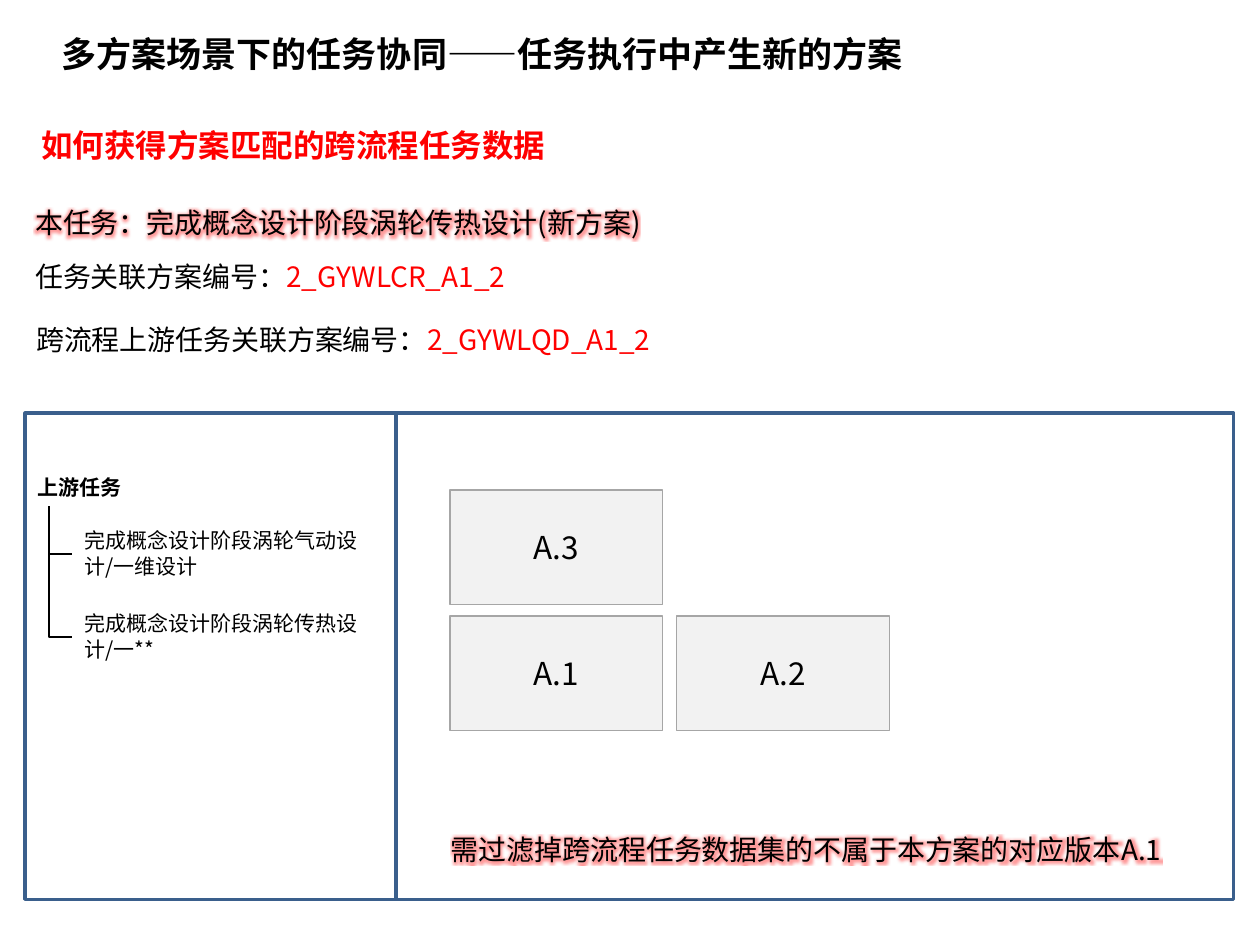
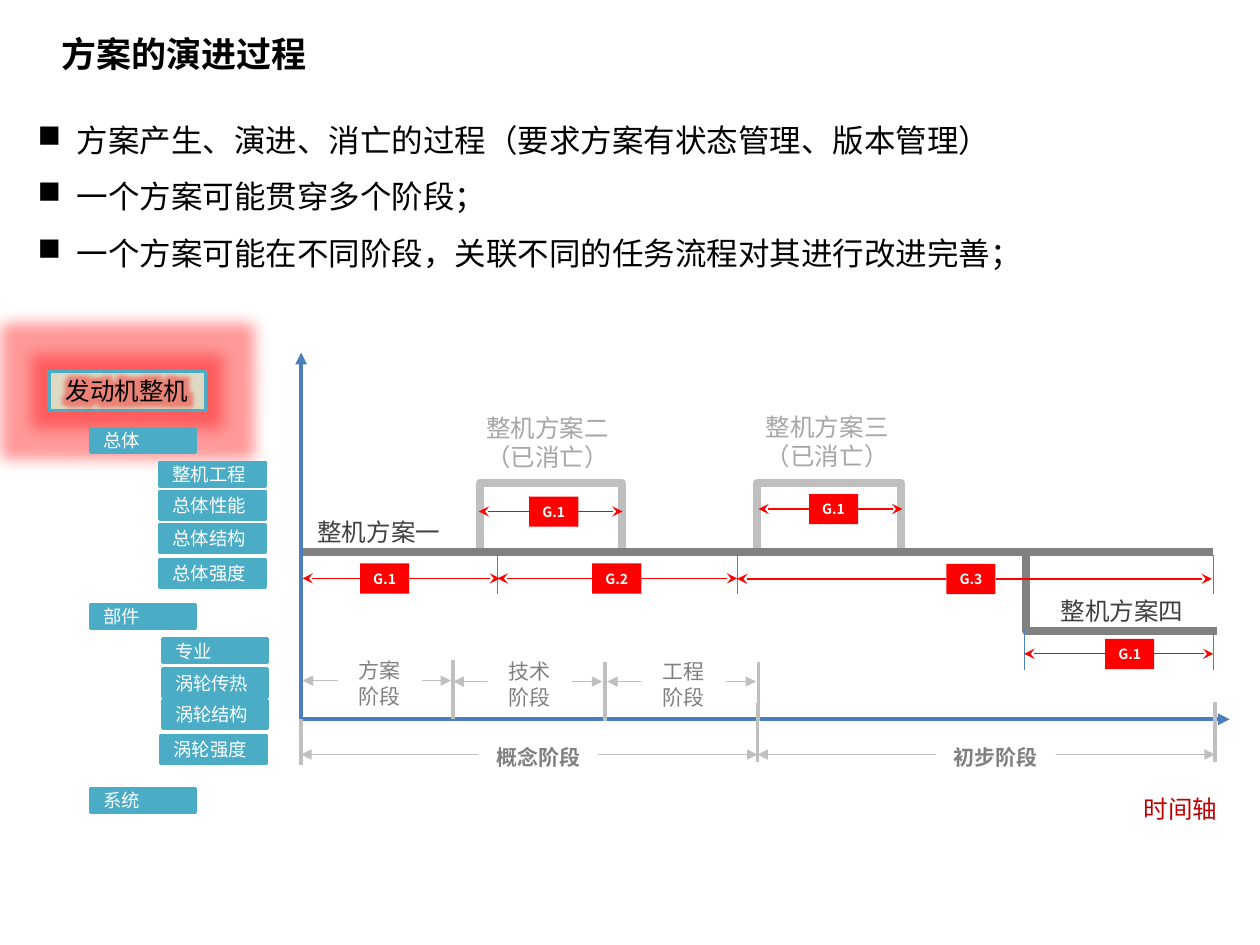
"""Build two slides on plan versions: cross-process task data and plan evolution."""
from dataclasses import dataclass

from pptx import Presentation
from pptx.dml.color import RGBColor
from pptx.enum.shapes import MSO_CONNECTOR, MSO_SHAPE
from pptx.enum.text import MSO_ANCHOR, MSO_AUTO_SIZE, PP_ALIGN
from pptx.oxml.ns import qn
from pptx.oxml.xmlchemy import OxmlElement
from pptx.util import Cm, Pt

RECTANGLE = MSO_SHAPE.RECTANGLE
STRAIGHT, ELBOW = MSO_CONNECTOR.STRAIGHT, MSO_CONNECTOR.ELBOW
LEFT, CENTER = PP_ALIGN.LEFT, PP_ALIGN.CENTER
TOP, MIDDLE = MSO_ANCHOR.TOP, MSO_ANCHOR.MIDDLE
FIT_SHAPE = MSO_AUTO_SIZE.SHAPE_TO_FIT_TEXT


@dataclass(frozen=True)
class Theme:
    font: str = "Noto Sans CJK SC"
    black: str = "000000"
    white: str = "FFFFFF"
    red: str = "FF0000"
    dark_red: str = "C00000"
    panel_line: str = "3A5F8C"
    axis: str = "4B7EBC"
    tick: str = "4F81BD"
    teal: str = "4BACC6"
    sand: str = "DDD9C3"
    tile: str = "F2F2F2"
    ink: str = "404040"
    plan: str = "808080"
    faded: str = "A6A6A6"
    pale: str = "BFBFBF"
    title: float = 20
    large: float = 18
    body: float = 16
    label: float = 14
    small: float = 12
    component: float = 10.5
    tag: float = 8
    thin: float = 0.75
    edge: float = 2
    medium: float = 2.25
    thick: float = 4.5


THEME = Theme()

TITLES = ("多方案场景下的任务协同——任务执行中产生新的方案", "方案的演进过程")
TITLE_AREA = (0.99, 0.53, 21.92, 1.12)

QUESTION = "如何获得方案匹配的跨流程任务数据"
GLOWING_NOTES = [
    ("本任务：完成概念设计阶段涡轮传热设计(新方案)", (0.46, 3.68, 14.25, 1.17)),
    ("需过滤掉跨流程任务数据集的不属于本方案的对应版本A.1", (8.84, 16.33, 15.27, 1.27)),
]
PLAN_NUMBERS = [
    ("任务关联方案编号：", "2_GYWLCR_A1_2", 0.46, 5.11),
    ("跨流程上游任务关联方案编号：", "2_GYWLQD_A1_2", 0.48, 6.38),
]
PANELS = [(0.51, 8.33, 7.59, 9.8), (7.98, 8.33, 16.89, 9.8)]
UPSTREAM_HEADING = "上游任务"
UPSTREAM_TASKS = ["完成概念设计阶段涡轮气动设计/一维设计", "完成概念设计阶段涡轮传热设计/一**"]
VERSION_TILES = [("A.3", 0, 0), ("A.1", 0, 1), ("A.2", 1, 1)]

POINTS = [
    "方案产生、演进、消亡的过程（要求方案有状态管理、版本管理）",
    "一个方案可能贯穿多个阶段；",
    "一个方案可能在不同阶段，关联不同的任务流程对其进行改进完善；",
]
ENGINE = "发动机整机"
COMPONENTS = [
    ("总体", 1.83, 8.64, 0.48),
    ("整机工程", 3.23, 9.32, 0.48),
    ("总体性能", 3.23, 9.91, 0.56),
    ("总体结构", 3.23, 10.57, 0.56),
    ("总体强度", 3.23, 11.28, 0.56),
    ("部件", 1.83, 12.19, 0.48),
    ("专业", 3.28, 12.88, 0.48),
    ("涡轮传热", 3.28, 13.49, 0.56),
    ("涡轮结构", 3.28, 14.12, 0.56),
    ("涡轮强度", 3.25, 14.83, 0.56),
    ("系统", 1.83, 15.9, 0.48),
]
ORIGIN_X, AXIS_Y, PLAN_Y, DEAD_Y, END_X = 6.07, 14.5, 11.13, 9.73, 24.46
DEAD_PLANS = [(8.08, 11.28, 11.07, 14.0), (13.67, 16.87, 16.71, 19.63)]
PLAN_LABELS = [
    (["整机方案一"], 6.15, 10.29, 3.0, THEME.ink),
    (["整机方案二", "（已消亡）"], 9.55, 8.2, 3.0, THEME.faded),
    (["整机方案三", "（已消亡）"], 15.19, 8.18, 3.0, THEME.faded),
    (["整机方案四"], 21.13, 11.89, 3.0, THEME.ink),
    (["时间轴"], 22.81, 15.88, 2.01, THEME.dark_red),
]
TICKS = [(10.03, 11.18), (14.86, 11.18), (END_X, 11.18), (20.65, 12.7), (END_X, 12.7)]
VERSION_SPANS = [
    ("G.1", 6.1, 7.26, 10.08, 11.66),
    ("G.2", 10.03, 11.94, 14.86, 11.66),
    ("G.3", 14.86, 19.08, 24.43, 11.67),
    ("G.1", 9.65, 10.67, 12.55, 10.31),
    ("G.1", 15.29, 16.31, 18.19, 10.26),
    ("G.1", 20.65, 22.28, END_X, 13.18),
]
DIVIDERS = [
    (15.27, 14.17, 15.37), (6.07, 14.5, 15.42), (9.14, 13.31, 14.5),
    (12.19, 13.34, 14.53), (15.29, 13.34, 14.53), (24.49, 14.15, 15.37),
]
STEPS = [
    ("方案阶段", 6.1, 9.09, 13.72, 6.81),
    ("技术阶段", 9.14, 12.14, 13.74, 9.83),
    ("工程阶段", 12.24, 15.24, 13.74, 12.93),
]
STAGES = [("概念阶段", 6.07, 15.27, 15.21, 9.65), ("初步阶段", 15.27, 24.49, 15.21, 18.87)]


def color(code):
    return RGBColor.from_string(code)


def add_element(parent, tag, **attributes):
    element = OxmlElement(tag)
    for name, value in attributes.items():
        element.set(name, str(value))
    parent.append(element)
    return element


def add_glow(properties, radius):
    glow = add_element(add_element(properties, "a:effectLst"), "a:glow", rad=Pt(radius))
    add_element(add_element(glow, "a:srgbClr", val=THEME.red), "a:alpha", val=40000)


def style(paragraph, size, ink=THEME.black, bold=False, align=LEFT, spacing=None):
    paragraph.alignment = align
    if spacing:
        paragraph.line_spacing = spacing
    font = paragraph.font
    font.size, font.bold, font.name = Pt(size), bold, THEME.font
    font.color.rgb = color(ink)
    add_element(paragraph._p.pPr.find(qn("a:defRPr")), "a:ea", typeface=THEME.font)


def write(frame, lines, bullet=None, **look):
    for index, line in enumerate(lines):
        paragraph = frame.add_paragraph() if index else frame.paragraphs[0]
        paragraph.add_run().text = line
        if bullet:
            properties = paragraph._p.get_or_add_pPr()
            properties.set("marL", str(Cm(0.79)))
            properties.set("indent", str(-Cm(0.79)))
            add_element(properties, "a:buChar", char=bullet)
        style(paragraph, **look)


def add_text(page, area, lines, wrap=True, **look):
    box = page.shapes.add_textbox(*map(Cm, area))
    box.text_frame.word_wrap = wrap
    box.text_frame.auto_size = FIT_SHAPE
    write(box.text_frame, lines, **look)
    return box


def add_box(page, area, fill, line=None, width=THEME.edge, text=None,
            anchor=MIDDLE, wrap=True, **look):
    box = page.shapes.add_shape(RECTANGLE, *map(Cm, area))
    box.shadow.inherit = False
    box.fill.solid()
    box.fill.fore_color.rgb = color(fill)
    if line:
        box.line.color.rgb = color(line)
        box.line.width = Pt(width)
    else:
        box.line.fill.background()
    if text:
        box.text_frame.word_wrap = wrap
        box.text_frame.vertical_anchor = anchor
        write(box.text_frame, [text], **look)
    return box


def add_line(page, start, end, ink, width, kind=STRAIGHT, head=None, tail=None):
    line = page.shapes.add_connector(kind, *map(Cm, (*start, *end)))
    line.line.color.rgb = color(ink)
    line.line.width = Pt(width)
    outline = line.line._get_or_add_ln()
    for tag, arrow in (("a:headEnd", head), ("a:tailEnd", tail)):
        if arrow:
            add_element(outline, tag, type=arrow)
    add_element(line._element.spPr, "a:effectLst")
    return line


def add_branch(page, x, top, right, bottom):
    """Draw a line that runs down from (x, top), then right to (right, bottom)."""
    middle_x, middle_y = (x + right) / 2, (top + bottom) / 2
    half_drop, half_run = (bottom - top) / 2, (right - x) / 2
    line = add_line(page, (middle_x - half_drop, middle_y - half_run),
                    (middle_x + half_drop, middle_y + half_run), THEME.black, THEME.thin, ELBOW)
    properties = line._element.spPr
    properties.find(qn("a:prstGeom")).set("prst", "bentConnector2")
    frame = properties.find(qn("a:xfrm"))
    frame.set("rot", "16200000")
    frame.set("flipH", "1")


def add_page(deck, title):
    page = deck.slides.add_slide(deck.slide_layouts[6])
    add_text(page, TITLE_AREA, [title], size=THEME.title, bold=True)
    return page


def build_matching(page):
    for area in PANELS:
        add_box(page, area, THEME.white, THEME.panel_line)
    add_text(page, (0.58, 2.41, 14.81, 1.02), [QUESTION], size=THEME.large, ink=THEME.red, bold=True)
    for text, area in GLOWING_NOTES:
        box = add_text(page, area, [text], size=THEME.body, spacing=1.5)
        add_glow(box.text_frame.paragraphs[0].runs[0]._r.get_or_add_rPr(), 5)
    for text, number, left, top in PLAN_NUMBERS:
        box = add_text(page, (left, top, 17.04, 0.94), [text], size=THEME.body)
        span = box.text_frame.paragraphs[0].add_run()
        span.text = number
        span.font.color.rgb = color(THEME.red)
    add_text(page, (0.51, 9.45, 6.6, 0.76), [UPSTREAM_HEADING], size=THEME.small, bold=True)
    for index, task in enumerate(UPSTREAM_TASKS):
        top = 10.52 + 1.67 * index
        add_text(page, (1.45, top, 6.6, 1.27), [task], size=THEME.small)
        add_branch(page, 0.99, 10.21, 1.45, top + 0.65)
    for name, column, row in VERSION_TILES:
        area = (9.07 + 4.57 * column, 9.88 + 2.54 * row, 4.29, 2.31)
        add_box(page, area, THEME.tile, THEME.faded, THEME.thin, name, size=THEME.large, align=CENTER)


def add_components(page):
    engine = add_box(page, (0.99, 7.49, 3.15, 0.79), THEME.sand, THEME.teal,
                     text=ENGINE, size=THEME.label, align=CENTER)
    properties = engine._element.spPr
    properties.remove(properties.find(qn("a:effectLst")))
    add_glow(properties, 18)
    add_glow(engine.text_frame.paragraphs[0].runs[0]._r.get_or_add_rPr(), 18)
    for name, left, top, height in COMPONENTS:
        add_box(page, (left, top, 2.11, height), THEME.teal, THEME.teal,
                text=name, size=THEME.component, ink=THEME.white)


def add_plans(page):
    for rise_start, rise_end, fall_start, fall_end in DEAD_PLANS:
        add_line(page, (rise_start, PLAN_Y), (rise_end, DEAD_Y), THEME.pale, THEME.thick, ELBOW)
        add_line(page, (fall_start, DEAD_Y), (fall_end, PLAN_Y), THEME.pale, THEME.thick, ELBOW)
    add_line(page, (16.84, PLAN_Y), (24.54, 12.73), THEME.plan, THEME.thick, ELBOW)
    add_line(page, (ORIGIN_X, PLAN_Y), (END_X, PLAN_Y), THEME.plan, THEME.thick)
    for end in ((24.79, AXIS_Y), (ORIGIN_X, 7.11)):
        add_line(page, (ORIGIN_X, AXIS_Y), end, THEME.axis, THEME.medium, tail="triangle")
    for lines, left, top, width, ink in PLAN_LABELS:
        height = 0.26 + 0.6 * len(lines)
        add_text(page, (left, top, width, height), lines, wrap=False, size=THEME.label, ink=ink)


def add_versions(page):
    for x, top in TICKS:
        add_line(page, (x, top), (x, top + 0.8), THEME.tick, THEME.thin)
    for name, start, left, end, y in VERSION_SPANS:
        add_line(page, (start, y), (left, y), THEME.red, THEME.thin, head="stealth")
        add_line(page, (left + 0.99, y), (end, y), THEME.red, THEME.thin, tail="stealth")
        add_box(page, (left, y - 0.3, 0.99, 0.61), THEME.red, text=name, wrap=False,
                size=THEME.tag, ink=THEME.white, bold=True, align=CENTER)


def add_phases(page):
    for x, top, bottom in DIVIDERS:
        add_line(page, (x, top), (x, bottom), THEME.pale, THEME.medium)
    for phases, rise, width, height, bold in ((STEPS, 0.58, 1.7, 1.27, False),
                                              (STAGES, 0.33, 2.41, 0.76, True)):
        for name, start, end, y, left in phases:
            add_line(page, (start, y), (end, y), THEME.pale, THEME.thin, head="triangle", tail="triangle")
            add_box(page, (left, y - rise, width, height), THEME.white, text=name, anchor=TOP,
                    size=THEME.small, ink=THEME.plan, bold=bold, align=CENTER)


def build_evolution(page):
    add_text(page, (0.51, 1.93, 23.52, 3.71), POINTS, bullet="■", size=THEME.large, spacing=1.5)
    for add_layer in (add_components, add_plans, add_versions, add_phases):
        add_layer(page)


def main():
    deck = Presentation()
    deck.slide_width, deck.slide_height = Cm(25.4), Cm(19.05)
    for title, build in zip(TITLES, (build_matching, build_evolution)):
        build(add_page(deck, title))
    deck.save("out.pptx")


if __name__ == "__main__":
    main()
